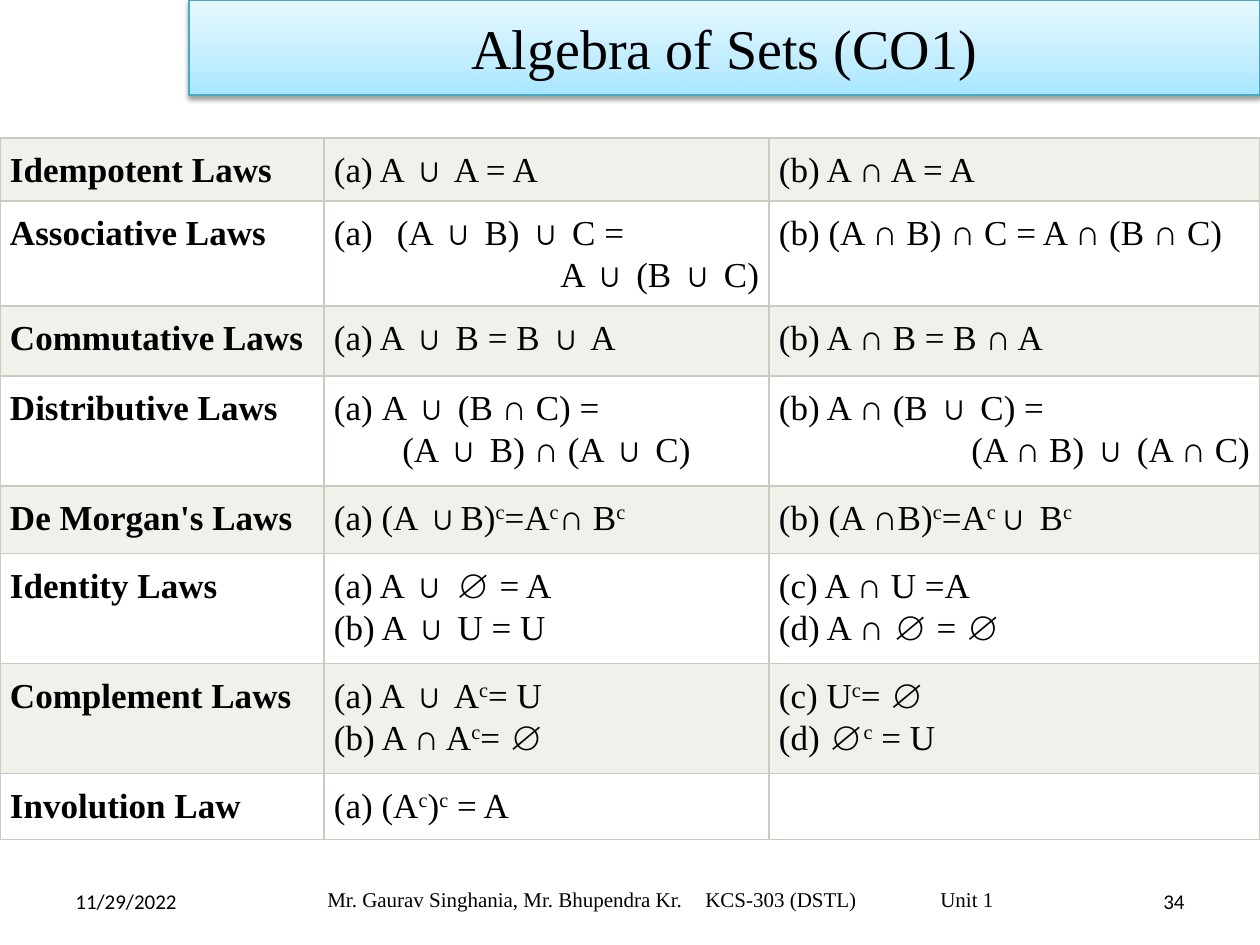
from dataclasses import dataclass

from lxml.etree import SubElement
from pptx import Presentation
from pptx.dml.color import RGBColor
from pptx.enum.shapes import MSO_SHAPE
from pptx.enum.text import MSO_ANCHOR, PP_ALIGN
from pptx.oxml import parse_xml
from pptx.oxml.ns import nsdecls, qn
from pptx.util import Emu, Pt


@dataclass(frozen=True)
class Theme:
    ink: str = "000000"
    band: str = "EFF1EB"
    paper: str = "FFFFFF"
    border: str = "C7CCBE"
    title_line: str = "46AAC5"
    title_stops: tuple = ((0, "A7E6FF"), (35, "C1EDFF"), (100, "E7F8FF"))
    serif: str = "Times New Roman"
    sans: str = "Calibri"
    title_size: int = 32
    law_size: int = 20
    footer_size: int = 12
    law_spacing: int = 24
    hairline: float = 0.75


@dataclass(frozen=True)
class Line:
    text: str
    align: PP_ALIGN = PP_ALIGN.LEFT
    hang: int = 0


LAWS = [
    (63, "Idempotent Laws", [Line("(a) A ∪ A = A")], [Line("(b) A ∩ A = A")]),
    (105, "Associative Laws",
     [Line("(A ∪ B) ∪ C =", hang=63), Line("A ∪ (B ∪ C)", PP_ALIGN.RIGHT)],
     [Line("(b) (A ∩ B) ∩ C = A ∩ (B ∩ C)")]),
    (70, "Commutative Laws", [Line("(a) A ∪ B = B ∪ A")], [Line("(b) A ∩ B = B ∩ A")]),
    (110, "Distributive Laws",
     [Line("A ∪ (B ∩ C) =", hang=48), Line("(A ∪ B) ∩ (A ∪ C)", PP_ALIGN.CENTER)],
     [Line("(b) A ∩ (B ∪ C) ="), Line("(A ∩ B) ∪ (A ∩ C)", PP_ALIGN.RIGHT)]),
    (68, "De Morgan's Laws",
     [Line("(a) (A ∪B)^c^=A^c^∩ B^c^")], [Line("(b) (A ∩B)^c^=A^c^∪ B^c^")]),
    (110, "Identity Laws",
     [Line("(a) A ∪ ∅ = A\n(b) A ∪ U = U")], [Line("(c) A ∩ U =A\n(d) A ∩ ∅ = ∅")]),
    (110, "Complement Laws",
     [Line("(a) A ∪ A^c^= U\n(b) A ∩ A^c^= ∅")], [Line("(c) U^c^= ∅\n(d) ∅^c^ = U")]),
    (66, "Involution Law", [Line("(a) (A^c^)^c^ = A")], []),
]


class SlideBuilder:
    """Draws styled elements on the current slide, with lengths in px."""

    def __init__(self, deck, theme):
        self.theme = theme
        self.slide = deck.slides.add_slide(deck.slide_layouts[6])

    @staticmethod
    def px(length):
        return Emu(round(length * 914400 / 126))

    def place(self, *lengths):
        return [self.px(length) for length in lengths]

    def add_spans(self, para, text, size, face, bold=False):
        for part_index, part in enumerate(text.split("^")):
            for line_index, words in enumerate(part.split("\n")):
                if line_index:
                    para.add_line_break()
                if not words:
                    continue
                span = para.add_run()
                span.text = words
                span.font.size = Pt(size)
                span.font.name = face
                span.font.bold = bold
                span.font.color.rgb = RGBColor.from_string(self.theme.ink)
                if part_index % 2:
                    span.font._element.set("baseline", "30000")

    def title(self, text, *place):
        theme = self.theme
        box = self.slide.shapes.add_shape(MSO_SHAPE.RECTANGLE, *self.place(*place))
        box.shadow.inherit = False
        box.line.color.rgb = RGBColor.from_string(theme.title_line)
        box.line.width = Pt(theme.hairline)
        stops = "".join(
            f'<a:gs pos="{position * 1000}"><a:srgbClr val="{color}"/></a:gs>'
            for position, color in theme.title_stops)
        properties = box._element.spPr
        properties.find(qn("a:prstGeom")).addnext(parse_xml(
            f'<a:gradFill {nsdecls("a")} rotWithShape="1"><a:gsLst>{stops}</a:gsLst>'
            '<a:lin ang="16200000" scaled="0"/></a:gradFill>'))
        properties.find(qn("a:effectLst")).append(parse_xml(
            f'<a:outerShdw {nsdecls("a")} blurRad="{Pt(3.1)}" dist="{Pt(1.6)}" '
            'dir="5400000" rotWithShape="0"><a:srgbClr val="000000">'
            '<a:alpha val="38000"/></a:srgbClr></a:outerShdw>'))
        box.text_frame.vertical_anchor = MSO_ANCHOR.MIDDLE
        para = box.text_frame.paragraphs[0]
        para.alignment = PP_ALIGN.CENTER
        self.add_spans(para, text, theme.title_size, theme.serif)

    def footer(self, text, place, face, align=PP_ALIGN.LEFT, tabs=()):
        box = self.slide.shapes.add_textbox(*self.place(*place))
        box.text_frame.word_wrap = True
        box.text_frame.vertical_anchor = MSO_ANCHOR.MIDDLE
        para = box.text_frame.paragraphs[0]
        para.alignment = align
        if tabs:
            stops = SubElement(para._p.get_or_add_pPr(), qn("a:tabLst"))
            for position in tabs:
                SubElement(stops, qn("a:tab"), pos=str(self.px(position)), algn="l")
        self.add_spans(para, text, self.theme.footer_size, face)

    def cell(self, cell, lines, color, bold=False):
        theme = self.theme
        cell.margin_left = cell.margin_right = self.px(10)
        cell.margin_top = cell.margin_bottom = self.px(10)
        properties = cell._tc.get_or_add_tcPr()
        for side in ("lnL", "lnR", "lnT", "lnB"):
            properties.append(parse_xml(
                f'<a:{side} {nsdecls("a")} w="{Pt(theme.hairline)}"><a:solidFill>'
                f'<a:srgbClr val="{theme.border}"/></a:solidFill></a:{side}>'))
        cell.fill.solid()
        cell.fill.fore_color.rgb = RGBColor.from_string(color)
        for index, line in enumerate(lines):
            frame = cell.text_frame
            para = frame.add_paragraph() if index else frame.paragraphs[0]
            para.alignment = line.align
            para.line_spacing = Pt(theme.law_spacing)
            if line.hang:
                settings = para._p.get_or_add_pPr()
                settings.set("marL", str(self.px(line.hang)))
                settings.set("indent", str(-self.px(line.hang)))
                SubElement(settings, qn("a:buFont"), typeface=theme.serif)
                SubElement(settings, qn("a:buAutoNum"), type="alphaLcParenBoth")
            self.add_spans(para, line.text, theme.law_size, theme.serif, bold)

    def law_table(self, laws, left, top, widths):
        height = sum(law[0] for law in laws)
        table = self.slide.shapes.add_table(
            len(laws), len(widths), *self.place(left, top, sum(widths), height)).table
        table.first_row = table.horz_banding = False
        for column, width in zip(table.columns, widths):
            column.width = self.px(width)
        for index, (row, law) in enumerate(zip(table.rows, laws)):
            row_height, name, union, intersection = law
            row.height = self.px(row_height)
            color = self.theme.paper if index % 2 else self.theme.band
            self.cell(row.cells[0], [Line(name)], color, bold=True)
            self.cell(row.cells[1], union, color)
            self.cell(row.cells[2], intersection, color)


def main():
    deck = Presentation()
    deck.slide_width, deck.slide_height = SlideBuilder.px(1260), SlideBuilder.px(945)
    theme = Theme()
    page = SlideBuilder(deck, theme)
    page.footer("11/29/2022", (63, 876, 294, 50), theme.sans)
    page.footer("34", (903, 876, 294, 50), theme.sans, PP_ALIGN.RIGHT)
    page.title("Algebra of Sets (CO1)", 189, 0, 1071, 95)
    page.footer("Mr. Gaurav Singhania, Mr. Bhupendra Kr.\tKCS-303 (DSTL)\tUnit 1",
                (315, 874, 693, 50), theme.serif, tabs=(378, 613))
    page.law_table(LAWS, 0, 138, (324, 445, 491))
    deck.save("out.pptx")


if __name__ == "__main__":
    main()
